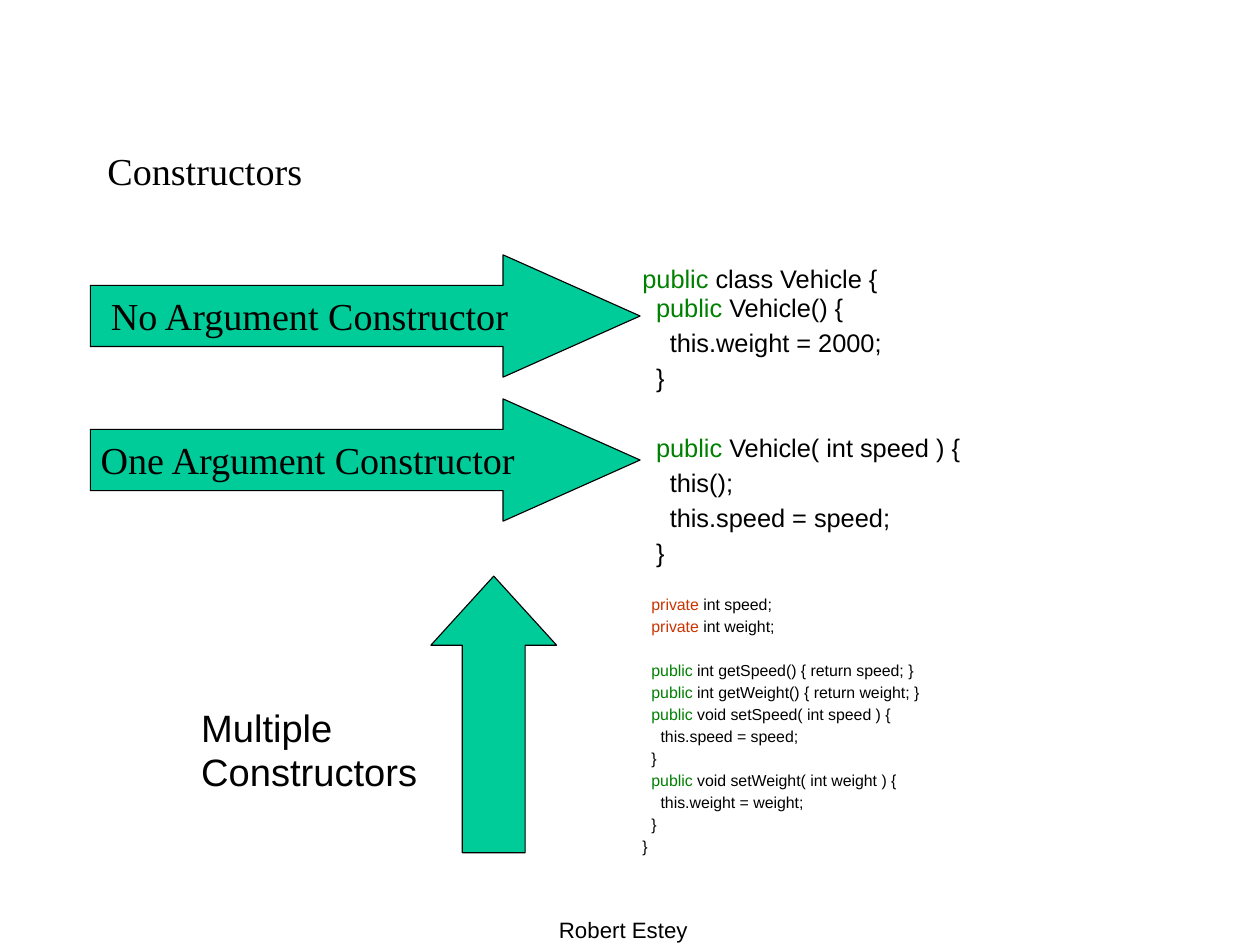
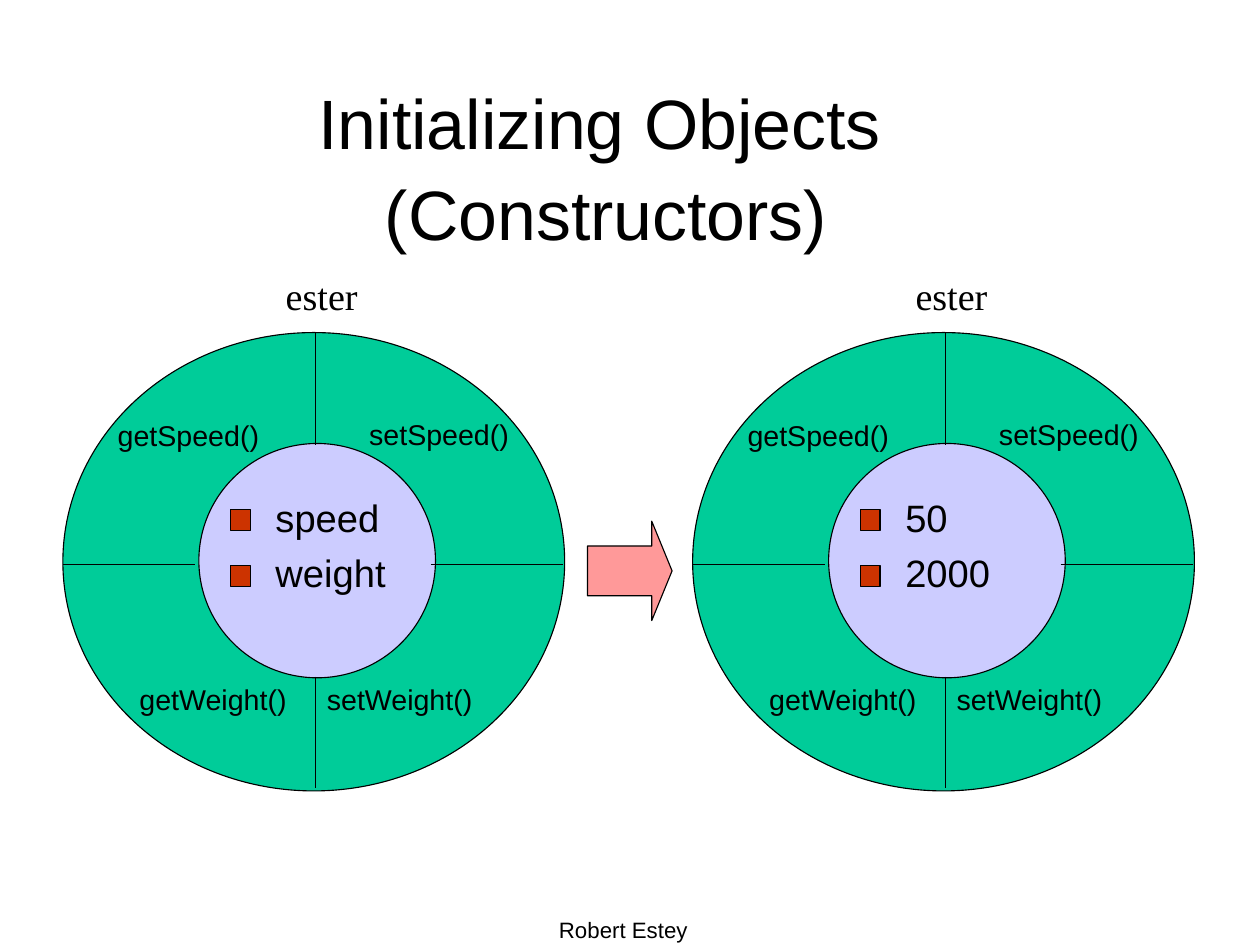
from lxml.etree import SubElement
from pptx import Presentation
from pptx.dml.color import RGBColor
from pptx.enum.shapes import MSO_CONNECTOR, MSO_SHAPE
from pptx.enum.text import MSO_ANCHOR, PP_ALIGN
from pptx.oxml.ns import qn
from pptx.util import Cm, Pt

PX = 9144  # 100 px to the inch


class Theme:
    sans, serif = "Arial", "Times New Roman"
    ink = RGBColor(0x00, 0x00, 0x00)
    green = RGBColor(0x00, 0xCC, 0x99)
    lilac = RGBColor(0xCC, 0xCC, 0xFF)
    pink = RGBColor(0xFF, 0x99, 0x99)
    red = RGBColor(0xCC, 0x33, 0x00)
    keywords = {"public": RGBColor(0x00, 0x80, 0x00), "private": red}
    title, body, method, code, footer, small_code = 44, 24, 18, 16, 14, 10
    leading = 1.15
    outline = Pt(0.71)


def write(sp, lines, size, font=Theme.sans, align=PP_ALIGN.LEFT,
          anchor=MSO_ANCHOR.MIDDLE, inset=0):
    """Fill sp with lines of (text, indent px, points before)."""
    tf = sp.text_frame
    frame = dict(word_wrap=True, vertical_anchor=anchor, margin_left=inset * PX,
                 margin_right=0, margin_top=0, margin_bottom=0)
    for name, value in frame.items():
        setattr(tf, name, value)
    for i, (text, indent, before) in enumerate(lines):
        p = tf.paragraphs[0] if i == 0 else tf.add_paragraph()
        layout = dict(alignment=align, space_before=Pt(before),
                      line_spacing=Pt(size * Theme.leading))
        for name, value in layout.items():
            setattr(p, name, value)
        if indent:
            p._p.get_or_add_pPr().set("marL", str(indent * PX))
        word, gap, rest = text.partition(" ")
        colored = word in Theme.keywords
        parts = [(word, Theme.keywords[word]), (gap + rest, Theme.ink)] if colored else [(text, Theme.ink)]
        for part, color in parts:
            r = p.add_run()
            r.text = part
            for name, value in dict(name=font, size=Pt(size)).items():
                setattr(r.font, name, value)
            r.font.color.rgb = color


def add_figure(s, kind, x, y, w, h, fill, adjustments=()):
    sp = s.shapes.add_shape(kind, x * PX, y * PX, w * PX, h * PX)
    sp.shadow.inherit = False
    sp.fill.solid()
    sp.fill.fore_color.rgb = fill
    sp.line.color.rgb = Theme.ink
    sp.line.width = Theme.outline
    for i, value in enumerate(adjustments):
        sp.adjustments[i] = value
    return sp


prs = Presentation()
prs.slide_width, prs.slide_height = Cm(28), Cm(21)
blank = prs.slide_layouts[6]
constructors, objects = [prs.slides.add_slide(blank) for _ in range(2)]

# Footer on every slide
for s in prs.slides:
    sp = s.shapes.add_textbox(489 * PX, 801 * PX, 135 * PX, 25 * PX)
    write(sp, [("Robert Estey", 0, 0)], Theme.footer)

# Slide 1: headings
s = constructors
for x, y, w, h, texts, font in [
    (94, 128, 200, 43, ["Constructors"], Theme.serif),
    (176, 615, 220, 82, ["Multiple", "Constructors"], Theme.sans),
]:
    sp = s.shapes.add_textbox(x * PX, y * PX, w * PX, h * PX)
    write(sp, [(text, 0, 0) for text in texts], Theme.body, font)

# Slide 1: code, as (text, level, points before)
vehicle = [
    ("public class Vehicle {", 0, 0),
    ("public Vehicle() {", 1, 0),
    ("this.weight = 2000;", 2, 3.7),
    ("}", 1, 3.7),
    ("public Vehicle( int speed ) {", 1, 25.5),
    ("this();", 2, 3.7),
    ("this.speed = speed;", 2, 3.7),
    ("}", 1, 3.7),
]
members = [
    ("private int speed;", 1, 0),
    ("private int weight;", 1, 2.4),
    ("public int getSpeed() { return speed; }", 1, 15.9),
    ("public int getWeight() { return weight; }", 1, 2.4),
    ("public void setSpeed( int speed ) {", 1, 2.4),
    ("this.speed = speed;", 2, 2.4),
    ("}", 1, 2.4),
    ("public void setWeight( int weight ) {", 1, 2.4),
    ("this.weight = weight;", 2, 2.4),
    ("}", 1, 2.4),
    ("}", 0, 2.4),
]
for y, h, listing, size, step in [
    (231, 267, vehicle, Theme.code, 12),
    (521, 228, members, Theme.small_code, 8),
]:
    sp = s.shapes.add_textbox(562 * PX, y * PX, 340 * PX, h * PX)
    write(sp, [(text, level * step, before) for text, level, before in listing],
          size, anchor=MSO_ANCHOR.TOP)

# Slide 1: arrows
for y, text, inset in [(223, "No Argument Constructor", 18),
                       (349, "One Argument Constructor", 9)]:
    sp = add_figure(s, MSO_SHAPE.RIGHT_ARROW, 79, y, 481, 107, Theme.green, (0.5, 1.12))
    write(sp, [(text, 0, 0)], Theme.body, Theme.serif, inset=inset)
add_figure(s, MSO_SHAPE.UP_ARROW, 377, 504, 110, 242, Theme.green, (0.5, 0.55))

# Slide 2: title
s = objects
sp = s.shapes.add_textbox(225 * PX, 68 * PX, 600 * PX, 159 * PX)
write(sp, [("Initializing Objects", 0, 0), ("(Constructors)", 11, 6.5)],
      Theme.title, align=PP_ALIGN.CENTER)

# Slide 2: the same object before and after initializing
spokes = [(55, 494, 171, 494), (377, 494, 493, 494),
          (276, 592, 276, 689), (276, 389, 276, 291)]
labels = [
    (250, 238, "ester", Theme.body, Theme.serif),
    (103, 365, "getSpeed()", Theme.method, Theme.sans),
    (323, 364, "setSpeed()", Theme.method, Theme.sans),
    (122, 596, "getWeight()", Theme.method, Theme.sans),
    (286, 596, "setWeight()", Theme.method, Theme.sans),
]
for dx, values in [(0, ("speed", "weight")), (551, ("50", "2000"))]:
    add_figure(s, MSO_SHAPE.OVAL, 55 + dx, 291, 439, 401, Theme.green)
    add_figure(s, MSO_SHAPE.OVAL, 174 + dx, 388, 207, 205, Theme.lilac)
    for x1, y1, x2, y2 in spokes:
        spoke = s.shapes.add_connector(MSO_CONNECTOR.STRAIGHT, (x1 + dx) * PX, y1 * PX,
                                       (x2 + dx) * PX, y2 * PX)
        spoke.line.color.rgb = Theme.ink
        spoke.line.width = Theme.outline
        SubElement(spoke._element.spPr, qn("a:effectLst"))
    fields = []
    for i, value in enumerate(values):
        add_figure(s, MSO_SHAPE.RECTANGLE, 202 + dx, 446 + 49 * i, 17, 18, Theme.red)
        fields.append((241, 432 + 48 * i, value, Theme.body, Theme.sans))
    for x, y, text, size, font in labels + fields:
        h = 33 if size == Theme.method else 43
        sp = s.shapes.add_textbox((x + dx) * PX, y * PX, 142 * PX, h * PX)
        write(sp, [(text, 0, 0)], size, font)

# Slide 2: arrow between the objects
add_figure(s, MSO_SHAPE.RIGHT_ARROW, 514, 456, 74, 87, Theme.pink, (0.5, 0.24))

prs.save("out.pptx")
